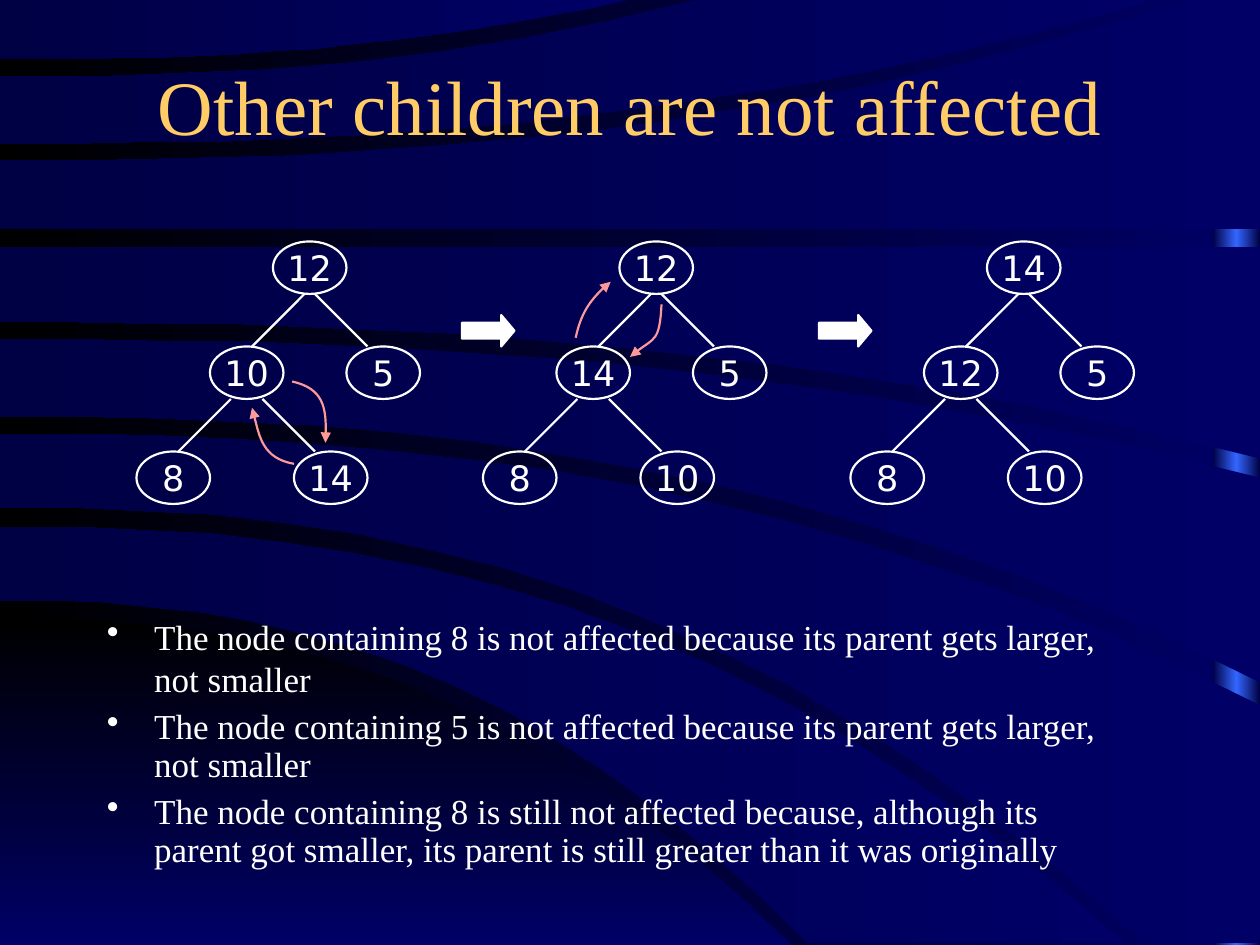
import copy

import lxml.etree
import pptx
import pptx.dml.color
import pptx.enum.shapes
import pptx.enum.text
import pptx.oxml.ns
import pptx.util

Pt = pptx.util.Pt
RGBColor = pptx.dml.color.RGBColor
SHAPE = pptx.enum.shapes.MSO_SHAPE
ALIGN = pptx.enum.text.PP_ALIGN
ANCHOR = pptx.enum.text.MSO_ANCHOR
qn = pptx.oxml.ns.qn

NAVY = RGBColor(0x00, 0x00, 0x66)
DEEP_NAVY = RGBColor(0x00, 0x00, 0x44)
BLACK = RGBColor(0x00, 0x00, 0x00)
BRIGHT_BLUE = RGBColor(0x33, 0x66, 0xFF)
WHITE = RGBColor(0xFF, 0xFF, 0xFF)
GOLD = RGBColor(0xFF, 0xCC, 0x66)
PINK = RGBColor(0xFF, 0x99, 0x99)

SERIF = "Times New Roman"
SANS = "DejaVu Sans"
LINE_WIDTH = 1.25
SLIDE_WIDTH, SLIDE_HEIGHT = 720, 540

BEND = 2.4
BEND_STEPS = 16
HILL = ((354, 452, 540), (540, 452, 540))
BANDS = [
    ((301, 643, 539), (343, 462, 539)),
    ((248, 720, 403), (290, 654, 539)),
    ((194, 720, 273), (238, 720, 390)),
    ((141, 720, 141), (184, 720, 262)),
    ((92, 679, 0), (131, 720, 131)),
    ((44, 398, 0), (82, 660, 0)),
    ((0, 359, 0), (34, 359, 0)),
]

NODE_WIDTH, NODE_HEIGHT = 42, 30
LEVEL_HEIGHT = 2 * NODE_HEIGHT
NODE_SPOTS = [(78, 0), (42, 1), (120, 1), (0, 2), (90, 2)]
EDGES = [(96, 66, 0), (102, 132, 0), (54, 24, 1), (72, 102, 1)]
LOWER_SWAP = [
    [(90, 127), (72, 124), (69, 106), (66, 95)],
    [(89, 80), (107, 84), (109, 98), (108, 115)],
]
UPPER_SWAP = [
    [(53, 55), (56, 41), (63, 31), (73, 23)],
    [(102, 36), (101, 57), (97, 55), (84, 66)],
]
TREE_TOP = 138
TREES = [
    (78, ["12", "10", "5", "8", "14"], LOWER_SWAP),
    (276, ["12", "14", "5", "8", "10"], UPPER_SWAP),
    (486, ["14", "12", "5", "8", "10"], []),
]
STEP_ARROW_LEFTS = [264, 468]


def write_text(paragraph, text, font=SERIF, size=20, color=WHITE, align=ALIGN.LEFT,
               spacing=None, before=0, bullet=None, indent=27):
    paragraph.alignment = align
    paragraph.line_spacing = spacing
    paragraph.space_before = Pt(before)
    run = paragraph.add_run()
    run.text = text
    run.font.name = font
    run.font.size = Pt(size)
    run.font.color.rgb = color
    if bullet:
        properties = paragraph._p.get_or_add_pPr()
        properties.set("marL", str(Pt(indent)))
        properties.set("indent", str(-Pt(indent)))
        lxml.etree.SubElement(properties, qn("a:buChar")).set("char", bullet)


def set_gradient(fill, first, last, angle):
    fill.gradient()
    fill.gradient_angle = angle
    for stop, color in zip(fill.gradient_stops, (first, last)):
        stop.color.rgb = color


def draw_path(shapes, left, top, points, close):
    outline = [(left + x, top + y) for x, y in points]
    builder = shapes.build_freeform(*outline[0], scale=Pt(1))
    builder.add_line_segments(outline[1:], close=close)
    path_shape = builder.convert_to_shape()
    path_shape.shadow.inherit = False
    return path_shape


def bend_edge(start_y, end_x, end_y):
    shares = [step / BEND_STEPS for step in range(BEND_STEPS + 1)]
    return [(end_x * share, start_y + (end_y - start_y) * share ** BEND) for share in shares]


def draw_swoosh(slide, edges, first, last, angle):
    upper, lower = [bend_edge(*edge) for edge in edges]
    nearer, farther = sorted((upper[-1], lower[-1]))
    corner = (farther[0], nearer[1])
    swoosh = draw_path(slide.shapes, 0, 0, upper + [corner] + lower[::-1], True)
    swoosh.line.fill.background()
    set_gradient(swoosh.fill, first, last, angle)


def draw_backdrop(slide, width, height):
    set_gradient(slide.background.fill, NAVY, BLACK, 180)
    strip_width = 27
    strip = slide.shapes.add_shape(SHAPE.RECTANGLE, Pt(width - strip_width), Pt(0),
                                   Pt(strip_width), Pt(height))
    strip.shadow.inherit = False
    strip.line.fill.background()
    set_gradient(strip.fill, DEEP_NAVY, DEEP_NAVY, 180)
    stops = strip._element.spPr.find(qn("a:gradFill")).find(qn("a:gsLst"))
    stops.insert(1, copy.deepcopy(stops[0]))
    stops[1].set("pos", "50000")
    strip.fill.gradient_stops[1].color.rgb = BRIGHT_BLUE
    draw_swoosh(slide, HILL, BLACK, NAVY, 270)
    for band in BANDS:
        draw_swoosh(slide, band, NAVY, DEEP_NAVY, 180)


def draw_swap_arrow(shapes, left, top, points):
    arrow = draw_path(shapes, left, top, points, False)
    arrow.fill.background()
    arrow.line.color.rgb = PINK
    arrow.line.width = Pt(LINE_WIDTH)
    lxml.etree.SubElement(arrow.line._ln, qn("a:tailEnd")).set("type", "triangle")
    path = next(arrow._element.iter(qn("a:path")))
    segments = path.findall(qn("a:lnTo"))
    curve = lxml.etree.SubElement(path, qn("a:cubicBezTo"))
    for segment in segments:
        curve.append(segment[0])
        path.remove(segment)


def draw_tree(slide, left, top, values, swaps):
    tree = slide.shapes.add_group_shape().shapes
    for value, (x, level) in zip(values, NODE_SPOTS):
        node = tree.add_shape(SHAPE.OVAL, Pt(left + x), Pt(top + level * LEVEL_HEIGHT),
                              Pt(NODE_WIDTH), Pt(NODE_HEIGHT))
        node.shadow.inherit = False
        node.fill.background()
        node.line.color.rgb = WHITE
        node.line.width = Pt(LINE_WIDTH)
        node.text_frame.word_wrap = False
        node.text_frame.vertical_anchor = ANCHOR.MIDDLE
        write_text(node.text_frame.paragraphs[0], value, font=SANS, align=ALIGN.CENTER)
    for parent_x, child_x, level in EDGES:
        parent_bottom = top + level * LEVEL_HEIGHT + NODE_HEIGHT
        edge = tree.add_connector(pptx.enum.shapes.MSO_CONNECTOR.STRAIGHT,
                                  Pt(left + parent_x), Pt(parent_bottom),
                                  Pt(left + child_x), Pt(parent_bottom + NODE_HEIGHT))
        edge.line.color.rgb = WHITE
        edge.line.width = Pt(LINE_WIDTH)
        lxml.etree.SubElement(edge._element.spPr, qn("a:effectLst"))
    for points in swaps:
        draw_swap_arrow(tree, left, top, points)


def draw_step_arrow(slide, left, top, width, height):
    step = slide.shapes.add_shape(SHAPE.RIGHT_ARROW, Pt(left), Pt(top), Pt(width), Pt(height))
    step.adjustments[1] = 0.42
    step.shadow.inherit = False
    step.fill.solid()
    step.fill.fore_color.rgb = WHITE
    step.line.color.rgb = WHITE
    step.line.width = Pt(LINE_WIDTH)


def place_text(slide, left, top, width, height, texts, anchor=ANCHOR.TOP, **style):
    frame = slide.shapes.add_textbox(Pt(left), Pt(top), Pt(width), Pt(height)).text_frame
    frame.word_wrap = True
    frame.vertical_anchor = anchor
    for index, text in enumerate(texts):
        paragraph = frame.add_paragraph() if index else frame.paragraphs[0]
        write_text(paragraph, text, **style)


def main():
    deck = pptx.Presentation()
    deck.slide_width, deck.slide_height = Pt(SLIDE_WIDTH), Pt(SLIDE_HEIGHT)
    slide = deck.slides.add_slide(deck.slide_layouts[6])
    draw_backdrop(slide, SLIDE_WIDTH, SLIDE_HEIGHT)
    place_text(slide, 24, 30, 672, 60, ["Other children are not affected"],
               anchor=ANCHOR.MIDDLE, size=44, color=GOLD, align=ALIGN.CENTER)
    place_text(slide, 54, 348, 588, 58, [
        "The node containing 8 is not affected because its parent gets larger, not smaller",
    ], before=5, bullet="•")
    place_text(slide, 54, 402, 600, 102, [
        "The node containing 5 is not affected because its parent gets larger, not smaller",
        "The node containing 8 is still not affected because, although its parent got smaller, "
        "its parent is still greater than it was originally",
    ], before=5, bullet="•", spacing=0.9)
    for left, values, swaps in TREES:
        draw_tree(slide, left, TREE_TOP, values, swaps)
    for left in STEP_ARROW_LEFTS:
        draw_step_arrow(slide, left, 180, 30, 18)
    deck.save("out.pptx")


if __name__ == "__main__":
    main()
